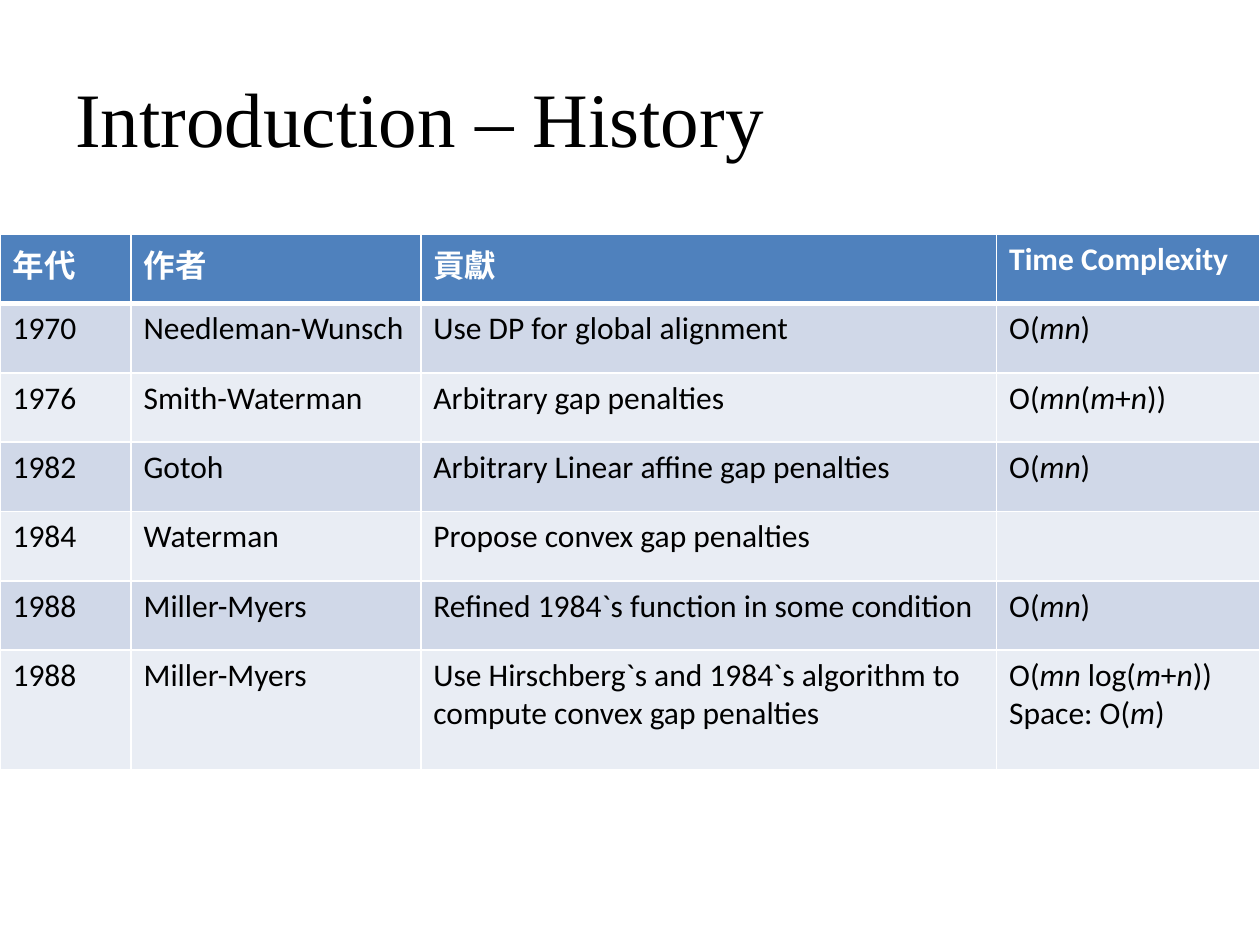
"""Build the sequence alignment history slide."""
import pptx
import pptx.util
import pptx.dml.color
import pptx.enum.text
import pptx.oxml.ns
from lxml import etree

Inches = pptx.util.Inches
Pt = pptx.util.Pt
RGBColor = pptx.dml.color.RGBColor

TITLE = "Introduction – History"
ITALIC_MARK = "*"
HISTORY = [
    ("年代", "作者", "貢獻", "Time Complexity"),
    ("1970", "Needleman-Wunsch", "Use DP for global alignment", "O(*mn*)"),
    ("1976", "Smith-Waterman", "Arbitrary gap penalties", "O(*mn*(*m*+*n*))"),
    ("1982", "Gotoh", "Arbitrary Linear affine gap penalties", "O(*mn*)"),
    ("1984", "Waterman", "Propose convex gap penalties", ""),
    ("1988", "Miller-Myers", "Refined 1984`s function in some condition", "O(*mn*)"),
    ("1988", "Miller-Myers",
     "Use Hirschberg`s and 1984`s algorithm to compute convex gap penalties",
     "O(*mn* log(*m*+*n*))\nSpace: O(*m*)"),
]
COLUMN_WIDTHS = [1.04, 2.3, 4.57, 2.09]
ROW_HEIGHTS = [0.55] * 6 + [0.95]

BLACK = RGBColor(0x00, 0x00, 0x00)
WHITE = RGBColor(0xFF, 0xFF, 0xFF)
HEADER_BLUE = RGBColor(0x4F, 0x81, 0xBD)
BAND_COLOURS = [RGBColor(0xE9, 0xED, 0xF4), RGBColor(0xD0, 0xD8, 0xE8)]


def style_span(span, font_name, size, colour, bold=False, italic=False):
    span.font.name = font_name
    span.font.size = Pt(size)
    span.font.color.rgb = colour
    span.font.bold = bold
    span.font.italic = italic


def add_title(page):
    box = page.shapes.add_textbox(Inches(0.5), Inches(0.3), Inches(9), Inches(1.25))
    frame = box.text_frame
    frame.word_wrap = True
    frame.vertical_anchor = pptx.enum.text.MSO_ANCHOR.MIDDLE
    frame.text = TITLE
    style_span(frame.paragraphs[0].runs[0], "Times New Roman", 44, BLACK)


def set_borders(cell, widths):
    properties = cell._tc.get_or_add_tcPr()
    for position, (side, width) in enumerate(widths.items()):
        line = etree.Element(pptx.oxml.ns.qn(f"a:ln{side}"), w=str(Pt(width)))
        fill = etree.SubElement(line, pptx.oxml.ns.qn("a:solidFill"))
        etree.SubElement(fill, pptx.oxml.ns.qn("a:srgbClr"), val=str(WHITE))
        properties.insert(position, line)


def fill_cell(cell, text, row):
    header = row == 0
    cell.fill.solid()
    cell.fill.fore_color.rgb = HEADER_BLUE if header else BAND_COLOURS[row % 2]
    set_borders(cell, {"L": 1, "R": 1, "T": 3 if row == 1 else 1, "B": 3 if header else 1})
    frame = cell.text_frame
    for index, line in enumerate(text.split("\n")):
        para = frame.add_paragraph() if index else frame.paragraphs[0]
        for part, piece in enumerate(line.split(ITALIC_MARK)):
            if piece:
                span = para.add_run()
                span.text = piece
                style_span(span, "Calibri", 18, WHITE if header else BLACK,
                           bold=header, italic=part % 2 == 1)


def add_history_table(page):
    table = page.shapes.add_table(
        len(HISTORY), len(COLUMN_WIDTHS), Inches(0), Inches(1.86),
        Inches(sum(COLUMN_WIDTHS)), Inches(sum(ROW_HEIGHTS))).table
    for column, width in zip(table.columns, COLUMN_WIDTHS):
        column.width = Inches(width)
    for row, height in enumerate(ROW_HEIGHTS):
        table.rows[row].height = Inches(height)
        for column, text in enumerate(HISTORY[row]):
            fill_cell(table.cell(row, column), text, row)


def main():
    deck = pptx.Presentation()
    deck.slide_width = Inches(10)
    deck.slide_height = Inches(7.5)
    page = deck.slides.add_slide(deck.slide_layouts[6])
    add_title(page)
    add_history_table(page)
    deck.save("out.pptx")


if __name__ == "__main__":
    main()
